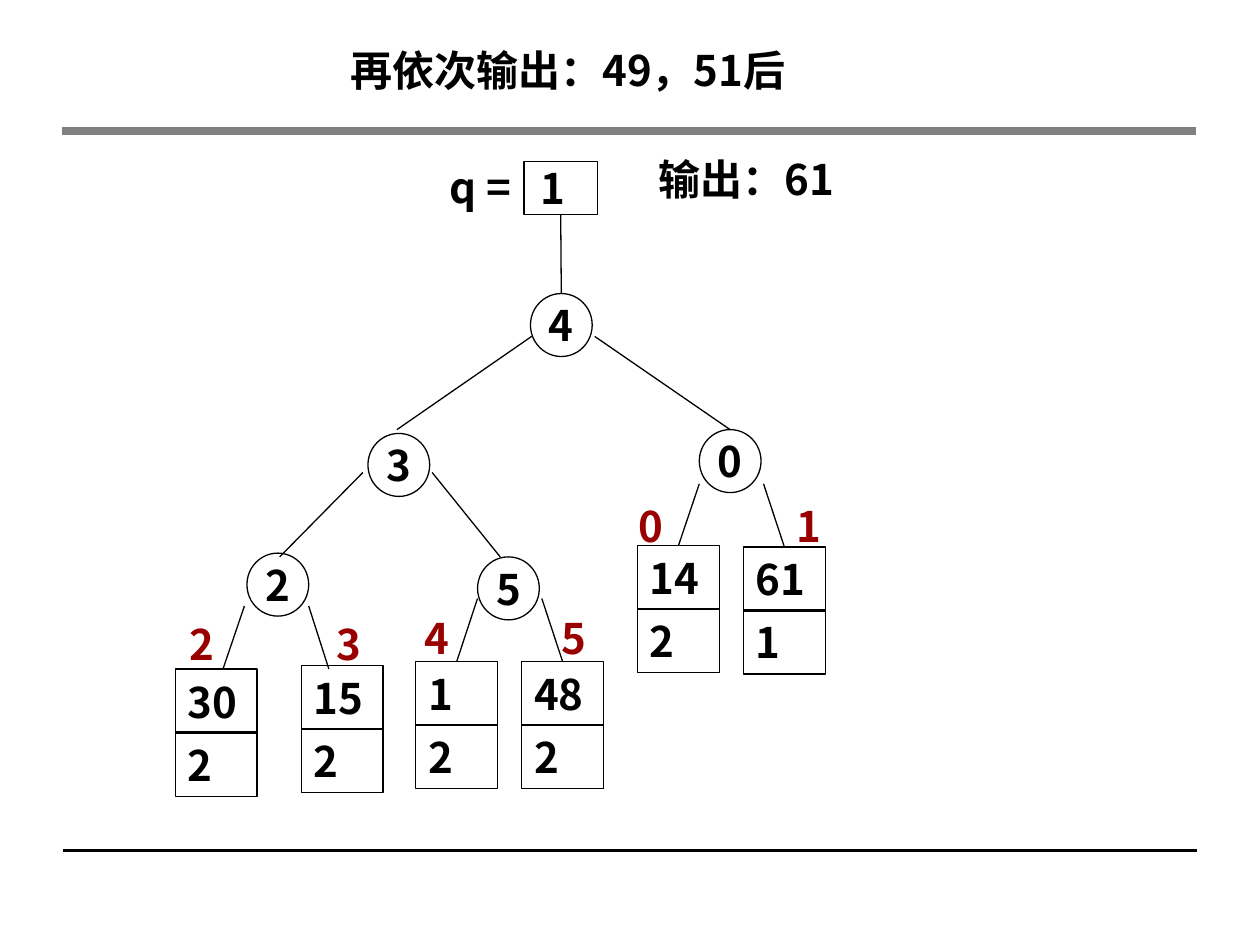
from lxml.etree import SubElement
from pptx import Presentation
from pptx.dml.color import RGBColor
from pptx.enum.shapes import MSO_CONNECTOR, MSO_SHAPE
from pptx.enum.text import MSO_ANCHOR, PP_ALIGN
from pptx.oxml.ns import qn
from pptx.util import Inches, Pt

COLUMNS, ROWS = 100, 75
INK, RANK_RED, RULE_GREY, WHITE = "000000", "990000", "808080", "FFFFFF"
NODE_SIZE = (4.9, 5)
LEAF_SIZE = (6.5, 5.1)

NODES = {
    "4": (42.1, 23.3),
    "3": (29.2, 34.4),
    "0": (55.5, 34.1),
    "2": (19.6, 43.9),
    "5": (37.9, 44.2),
}
BRANCHES = [
    ((42.2, 26.7), (31.5, 34.1), None),
    ((47.2, 26.7), (58, 34.2), "0"),
    ((28.8, 37.5), (22.2, 44.2), None),
    ((34.3, 37.5), (39.7, 44.2), None),
]
LEAVES = [
    ("30", "2", (13.9, 53.1), "2", (14.1, 48.6)),
    ("15", "2", (23.9, 52.8), "3", (25.7, 48.6)),
    ("1", "2", (33, 52.5), "4", (32.7, 48.1)),
    ("48", "2", (41.4, 52.5), "5", (43.6, 48.1)),
    ("14", "2", (50.6, 43.3), "0", (49.7, 39.2)),
    ("61", "1", (59, 43.4), "1", (62.2, 39.2)),
]
TWIG_STARTS = [((19.4, 48.1), False), ((37.9, 47.5), True), ((55.5, 38.4), True)]


def color(value):
    return RGBColor.from_string(value)


class TreeSlide:
    """Draws a selection tree on one slide, measured in grid columns and rows."""

    font_name = "Noto Sans CJK SC"
    font_size = Pt(24)

    def __init__(self, presentation):
        self.column = presentation.slide_width / COLUMNS
        self.row = presentation.slide_height / ROWS
        self.slide = presentation.slides.add_slide(presentation.slide_layouts[5])

    def place(self, x, y):
        return round(x * self.column), round(y * self.row)

    def set_text(self, shape, text, ink=INK, align=PP_ALIGN.LEFT, inset=0.1):
        frame = shape.text_frame
        frame.text = text
        frame.word_wrap = True
        frame.vertical_anchor = MSO_ANCHOR.MIDDLE
        frame.margin_left = frame.margin_right = Inches(inset)
        frame.margin_top = frame.margin_bottom = 0
        paragraph = frame.paragraphs[0]
        paragraph.alignment = align
        run = paragraph.runs[0]
        run.font.name = self.font_name
        run.font.size = self.font_size
        run.font.bold = True
        run.font.color.rgb = color(ink)
        SubElement(run._r.get_or_add_rPr(), qn("a:ea"), typeface=self.font_name)

    def title(self, text, position, size):
        shape = self.slide.shapes.title
        shape.left, shape.top = self.place(*position)
        shape.width, shape.height = self.place(*size)
        self.set_text(shape, text)

    def label(self, text, position, size, ink=INK):
        shape = self.slide.shapes.add_textbox(*self.place(*position), *self.place(*size))
        self.set_text(shape, text, ink)

    def outline(self, kind, text, position, size, fill=None, **style):
        shape = self.slide.shapes.add_shape(kind, *self.place(*position), *self.place(*size))
        shape.shadow.inherit = False
        if fill:
            shape.fill.solid()
            shape.fill.fore_color.rgb = color(fill)
        else:
            shape.fill.background()
        shape.line.color.rgb = color(INK)
        shape.line.width = Pt(0.75)
        self.set_text(shape, text, **style)
        return shape

    def node(self, text, position):
        return self.outline(MSO_SHAPE.OVAL, text, position, NODE_SIZE,
                            align=PP_ALIGN.CENTER, inset=0)

    def leaf(self, key, run_number, position, rank, rank_position):
        x, y = position
        top = self.outline(MSO_SHAPE.RECTANGLE, key, position, LEAF_SIZE)
        self.outline(MSO_SHAPE.RECTANGLE, run_number, (x, y + 5), LEAF_SIZE)
        self.label(rank, rank_position, (5, 5), RANK_RED)
        return top

    def line(self, start, end, ink=INK, width=0.75, source=None, target=None):
        connector = self.slide.shapes.add_connector(
            MSO_CONNECTOR.STRAIGHT, *self.place(*start), *self.place(*end))
        connector.line.color.rgb = color(ink)
        connector.line.width = Pt(width)
        SubElement(connector._element.spPr, qn("a:effectLst"))
        if source:
            connector.begin_connect(source, 2)
        if target:
            connector.end_connect(target, 0)

    def twigs(self, start, left_leaf, right_leaf):
        x, y = start
        self.line(start, (x - 1.7, y + 5), target=left_leaf)
        self.line((x + 5.1, y), (x + 6.7, y + 5), target=right_leaf)


def main():
    presentation = Presentation()
    presentation.slide_width, presentation.slide_height = Inches(10), Inches(7.5)
    tree = TreeSlide(presentation)

    tree.line((5, 67.5), (95, 67.5), width=2)
    tree.line((4.9, 10.4), (94.9, 10.4), RULE_GREY, 5)
    tree.title("再依次输出：49，51后", (26.8, 3), (45.8, 5))
    tree.label("q =", (34.7, 12.3), (10, 5))
    tree.label("输出：61", (51.3, 11.7), (18.3, 5))

    winner = tree.outline(MSO_SHAPE.RECTANGLE, "1", (41.6, 12.8), (5.8, 4.2),
                          fill=WHITE, inset=0.13)
    nodes = {text: tree.node(text, position) for text, position in NODES.items()}
    leaves = [tree.leaf(*leaf) for leaf in LEAVES]

    tree.line((44.6, 17.1), (44.6, 23.3), source=winner, target=nodes["4"])
    for start, end, target in BRANCHES:
        tree.line(start, end, target=nodes.get(target))
    for (start, joined), left, right in zip(TWIG_STARTS, leaves[::2], leaves[1::2]):
        tree.twigs(start, *((left, right) if joined else (None, None)))

    presentation.save("out.pptx")


if __name__ == "__main__":
    main()
